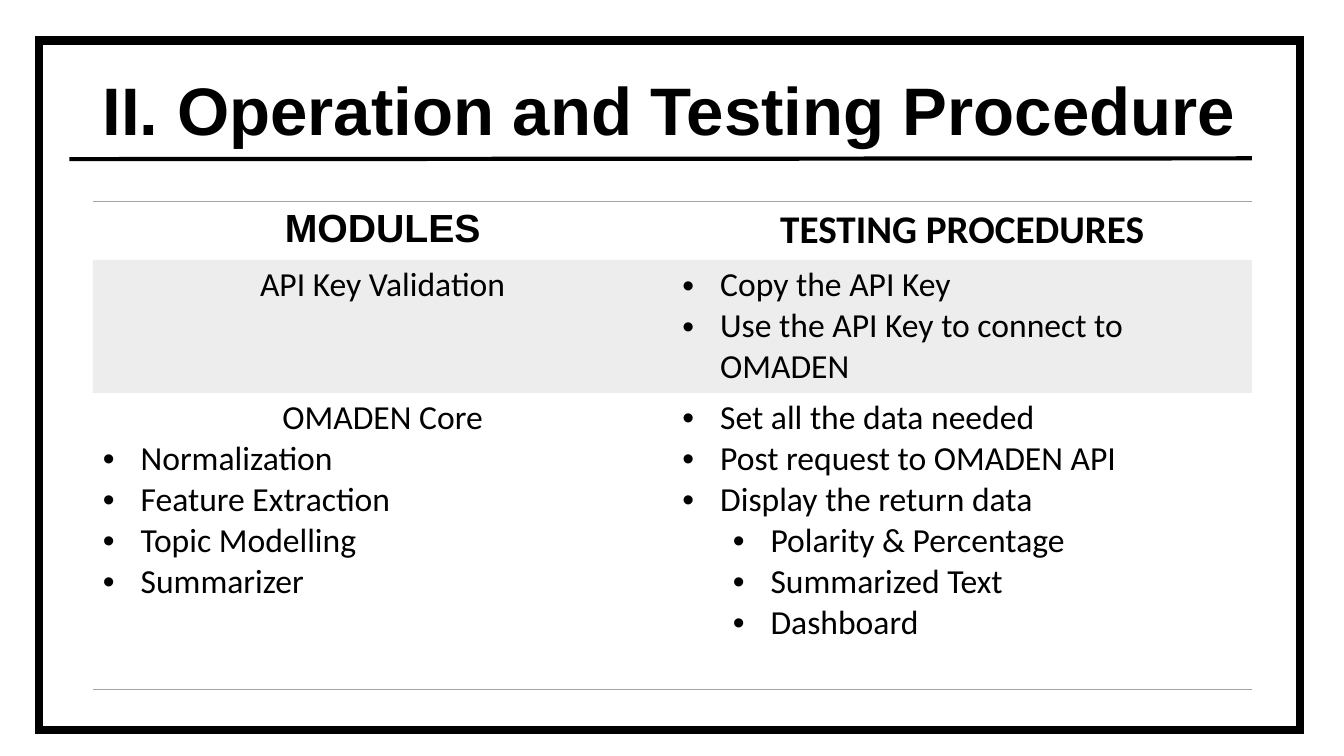
from dataclasses import dataclass

from lxml.etree import SubElement
from pptx import Presentation
from pptx.dml.color import RGBColor
from pptx.enum.shapes import MSO_CONNECTOR, MSO_SHAPE
from pptx.enum.text import MSO_ANCHOR, PP_ALIGN
from pptx.oxml import parse_xml
from pptx.oxml.ns import nsdecls, qn
from pptx.util import Cm, Pt


@dataclass(frozen=True)
class Theme:
    ink: str = "000000"
    grey: str = "A5A5A5"
    band_opacity: int = 20
    heading_font: str = "Arial"
    body_font: str = "Calibri"
    title_size: int = 48
    header_size: int = 28
    body_size: int = 24
    frame_width: int = 6
    rule_width: int = 3
    border_width: int = 1


THEME = Theme()
TITLE = "II. Operation and Testing Procedure"
CONTENT_LEFT, CONTENT_WIDTH = Cm(2.34), Cm(29.21)
ROW_HEIGHTS = [Cm(1.47), Cm(3.35), Cm(7.48)]
BULLET_INDENT, LEVEL_INDENT = Cm(0.95), Cm(1.27)

HEADERS = [("MODULES", THEME.heading_font), ("TESTING PROCEDURES", THEME.body_font)]
# Each entry is (bullet level, text); the level None means a centred line.
BODY_ROWS = [
    [
        [(None, "API Key Validation")],
        [(0, "Copy the API Key"), (0, "Use the API Key to connect to OMADEN")],
    ],
    [
        [
            (None, "OMADEN Core"),
            (0, "Normalization"),
            (0, "Feature Extraction"),
            (0, "Topic Modelling"),
            (0, "Summarizer"),
        ],
        [
            (0, "Set all the data needed"),
            (0, "Post request to OMADEN API"),
            (0, "Display the return data"),
            (1, "Polarity & Percentage"),
            (1, "Summarized Text"),
            (1, "Dashboard"),
        ],
    ],
]


def set_attributes(target, values):
    for name, value in values.items():
        setattr(target, name, value)


def write_text(paragraph, text, font_name, size, bold):
    run = paragraph.add_run()
    run.text = text
    set_attributes(run.font, {"name": font_name, "size": Pt(size), "bold": bold})
    run.font.color.rgb = RGBColor.from_string(THEME.ink)


def style_line(line, width):
    line.color.rgb = RGBColor.from_string(THEME.ink)
    line.width = Pt(width)


def add_bullet(paragraph, level):
    paragraph.level = level
    properties = paragraph._p.get_or_add_pPr()
    properties.set("marL", str(BULLET_INDENT + level * LEVEL_INDENT))
    properties.set("indent", str(-BULLET_INDENT))
    SubElement(properties, qn("a:buFont"), typeface=THEME.heading_font)
    SubElement(properties, qn("a:buChar"), char="•")


def set_borders(cell, visible_sides):
    """Draw the named sides (T, B) in grey and hide the others."""
    properties = cell._tc.get_or_add_tcPr()
    for position, side in enumerate("LRTB"):
        if side in visible_sides:
            paint = f'<a:solidFill><a:srgbClr val="{THEME.grey}"/></a:solidFill>'
        else:
            paint = "<a:noFill/>"
        border = parse_xml(
            f'<a:ln{side} {nsdecls("a")} w="{Pt(THEME.border_width)}">{paint}</a:ln{side}>'
        )
        properties.insert(position, border)


def shade_band(cell):
    cell.fill.solid()
    cell.fill.fore_color.rgb = RGBColor.from_string(THEME.grey)
    for color in cell._tc.get_or_add_tcPr().iter(qn("a:srgbClr")):
        SubElement(color, qn("a:alpha"), val=str(THEME.band_opacity * 1000))


def fill_body_cell(cell, entries):
    for index, (level, text) in enumerate(entries):
        frame = cell.text_frame
        paragraph = frame.add_paragraph() if index else frame.paragraphs[0]
        if level is None:
            paragraph.alignment = PP_ALIGN.CENTER
        else:
            add_bullet(paragraph, level)
        write_text(paragraph, text, THEME.body_font, THEME.body_size, False)


def add_title(slide):
    shape = slide.shapes.add_textbox(CONTENT_LEFT, Cm(1.02), CONTENT_WIDTH, Cm(3.68))
    set_attributes(
        shape.text_frame, {"word_wrap": True, "vertical_anchor": MSO_ANCHOR.MIDDLE}
    )
    paragraph = shape.text_frame.paragraphs[0]
    paragraph.line_spacing = 0.9
    write_text(paragraph, TITLE, THEME.heading_font, THEME.title_size, True)


def add_procedure_table(slide):
    table = slide.shapes.add_table(
        len(ROW_HEIGHTS), len(HEADERS), CONTENT_LEFT, Cm(5.08), CONTENT_WIDTH, sum(ROW_HEIGHTS)
    ).table
    set_attributes(table, {"first_row": False, "horz_banding": False})
    for row, height in zip(table.rows, ROW_HEIGHTS):
        row.height = height
    for cell in table.iter_cells():
        cell.fill.background()

    for column, (text, font_name) in enumerate(HEADERS):
        cell = table.cell(0, column)
        paragraph = cell.text_frame.paragraphs[0]
        paragraph.alignment = PP_ALIGN.CENTER
        write_text(paragraph, text, font_name, THEME.header_size, True)
        set_borders(cell, "TB")

    for row_index, row_entries in enumerate(BODY_ROWS, start=1):
        for column, entries in enumerate(row_entries):
            cell = table.cell(row_index, column)
            fill_body_cell(cell, entries)
            if row_index % 2:
                shade_band(cell)
            set_borders(cell, "B" if row_index == len(BODY_ROWS) else "")


def add_frame(slide):
    shape = slide.shapes.add_shape(
        MSO_SHAPE.RECTANGLE, Cm(0.99), Cm(1.02), Cm(31.78), Cm(17.37)
    )
    shape.shadow.inherit = False
    shape.fill.background()
    style_line(shape.line, THEME.frame_width)
    # A mitre join keeps the corners of the thick outline square.
    SubElement(shape._element.spPr.find(qn("a:ln")), qn("a:miter"), lim="800000")


def add_title_rule(slide):
    connector = slide.shapes.add_connector(
        MSO_CONNECTOR.STRAIGHT, Cm(1.75), Cm(4.01), Cm(31.55), Cm(3.99)
    )
    style_line(connector.line, THEME.rule_width)
    SubElement(connector._element.spPr, qn("a:effectLst"))


def main():
    presentation = Presentation()
    set_attributes(presentation, {"slide_width": Cm(33.87), "slide_height": Cm(19.05)})
    slide = presentation.slides.add_slide(presentation.slide_layouts[6])
    add_title(slide)
    add_procedure_table(slide)
    add_frame(slide)
    add_title_rule(slide)
    presentation.save("out.pptx")


if __name__ == "__main__":
    main()
